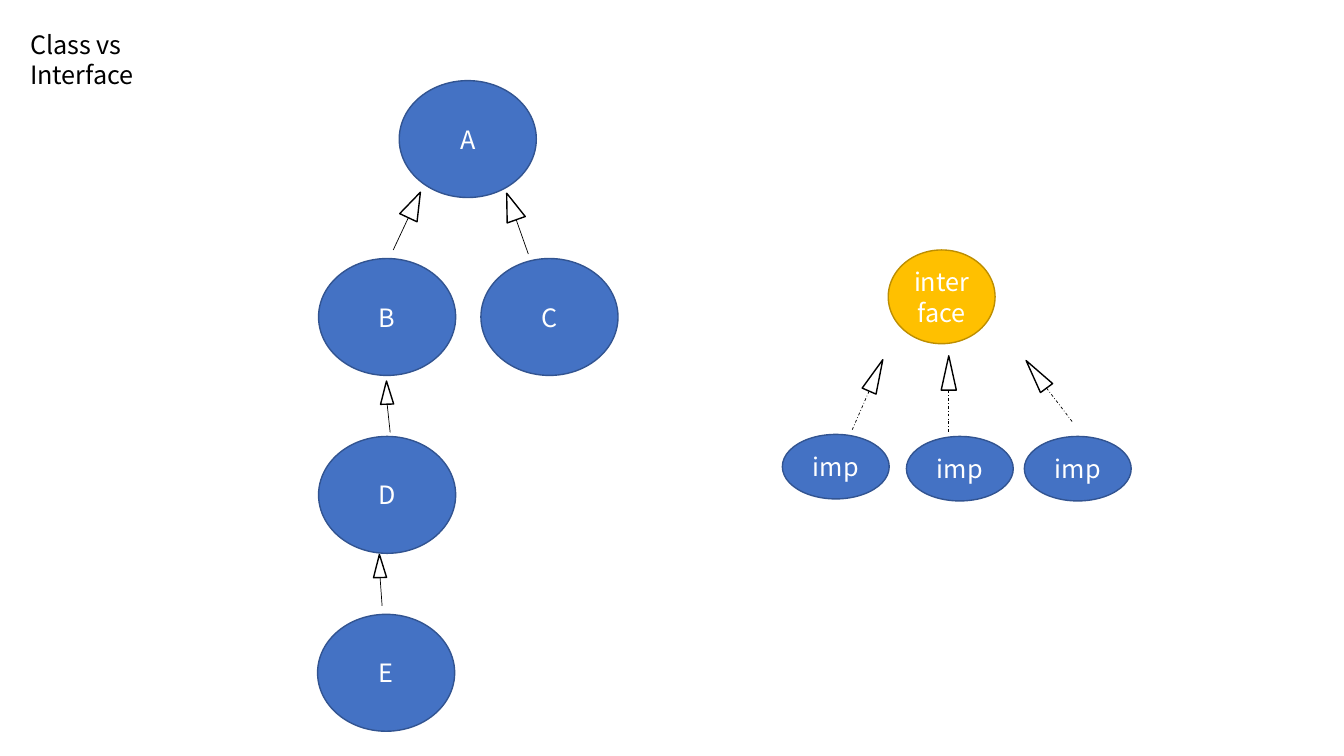
from math import cos, radians, sin

from lxml import etree
from pptx import Presentation
from pptx.dml.color import RGBColor
from pptx.enum.dml import MSO_LINE
from pptx.enum.shapes import MSO_CONNECTOR, MSO_SHAPE
from pptx.enum.text import MSO_ANCHOR, PP_ALIGN
from pptx.oxml.ns import qn
from pptx.util import Inches, Pt

OVAL = MSO_SHAPE.OVAL
TRIANGLE = MSO_SHAPE.ISOSCELES_TRIANGLE
STRAIGHT = MSO_CONNECTOR.STRAIGHT
DASH_DOT = MSO_LINE.DASH_DOT
MIDDLE = MSO_ANCHOR.MIDDLE
CENTER = PP_ALIGN.CENTER

THEME = {
    "font": "Noto Sans CJK KR", "size": 18, "outline": 1, "stem": 0.5,
    "black": "000000", "white": "FFFFFF",
    "class": ("4472C4", "325491"), "interface": ("FFC000", "BD8E00"),
}

# Content: class label, left, row of the tree
TITLE = "Class vs Interface"
CLASSES = [("A", 3.96, 0), ("B", 3.16, 1), ("C", 4.77, 1),
           ("D", 3.16, 2), ("E", 3.15, 3)]
CLASS_SIZE = (1.36, 1.16)
TREE_TOP, ROW_PITCH = 0.8, 1.765

INTERFACE = ("interface", (8.81, 2.48), (1.06, 0.93))
IMPLEMENTATIONS = [("imp", (7.76, 4.31)), ("imp", (8.99, 4.33)),
                   ("imp", (10.16, 4.33))]
IMPLEMENTATION_SIZE = (1.06, 0.64)

# Arrows: head size, stem dash, then (head base, stem end, head rotation)
ARROW_SETS = [
    ((0.19, 0.28), None, [((4.05, 2.16), (3.9, 2.48), 25.3),
                          ((5.12, 2.18), (5.24, 2.52), -19.7)]),
    ((0.13, 0.23), None, [((3.84, 4.01), (3.87, 4.29), -1.6),
                          ((3.77, 5.73), (3.79, 6.01), -1.6)]),
    ((0.15, 0.34), DASH_DOT, [((8.62, 3.88), (8.45, 4.27), 23.6),
                              ((9.41, 3.87), (9.41, 4.29), 0),
                              ((10.38, 3.85), (10.64, 4.19), -36.6)]),
]


def inches(*lengths):
    return [Inches(length) for length in lengths]


def style_text(text_frame, text, color):
    text_frame.text = text
    font = text_frame.paragraphs[0].runs[0].font
    font.name, font.size = THEME["font"], Pt(THEME["size"])
    font.color.rgb = RGBColor.from_string(color)


def add_filled(shapes, preset, position, size, fill, outline):
    shape = shapes.add_shape(preset, *inches(*position, *size))
    shape.shadow.inherit = False
    shape.fill.solid()
    shape.fill.fore_color.rgb = RGBColor.from_string(fill)
    shape.line.color.rgb = RGBColor.from_string(outline)
    shape.line.width = Pt(THEME["outline"])
    return shape


def add_node(shapes, text, position, size, kind):
    shape = add_filled(shapes, OVAL, position, size, *THEME[kind])
    style_text(shape.text_frame, text, THEME["white"])
    shape.text_frame.vertical_anchor = MIDDLE
    shape.text_frame.paragraphs[0].alignment = CENTER


def add_arrow(shapes, base, end, rotation, head_size, dash):
    group = shapes.add_group_shape()
    width, height = head_size
    angle = radians(rotation)
    # The head's centre lies half its height ahead of its base
    position = (base[0] + sin(angle) * height / 2 - width / 2,
                base[1] - cos(angle) * height / 2 - height / 2)
    head = add_filled(group.shapes, TRIANGLE, position, head_size,
                      THEME["white"], THEME["black"])
    head.rotation = rotation
    stem = group.shapes.add_connector(STRAIGHT, *inches(*base, *end))
    stem.line.color.rgb = RGBColor.from_string(THEME["black"])
    stem.line.width = Pt(THEME["stem"])
    if dash is not None:
        stem.line.dash_style = dash
    etree.SubElement(stem._element.spPr, qn("a:effectLst"))


presentation = Presentation()
presentation.slide_width, presentation.slide_height = inches(13.33, 7.5)
slide = presentation.slides.add_slide(presentation.slide_layouts[6])
shapes = slide.shapes

# Title, kept narrow by its right margin so that it takes two lines
title = shapes.add_textbox(*inches(0.2, 0.24, 2.18, 0.4))
title.text_frame.word_wrap = True
title.text_frame.margin_right = Inches(0.9)
style_text(title.text_frame, TITLE, THEME["black"])

# Class tree
for label, left, row in CLASSES:
    add_node(shapes, label, (left, TREE_TOP + row * ROW_PITCH),
             CLASS_SIZE, "class")

# Interface and its implementations
add_node(shapes, *INTERFACE, "interface")
for label, position in IMPLEMENTATIONS:
    add_node(shapes, label, position, IMPLEMENTATION_SIZE, "class")

# Inheritance and implementation arrows
for head_size, dash, arrows in ARROW_SETS:
    for base, end, rotation in arrows:
        add_arrow(shapes, base, end, rotation, head_size, dash)

presentation.save("out.pptx")
